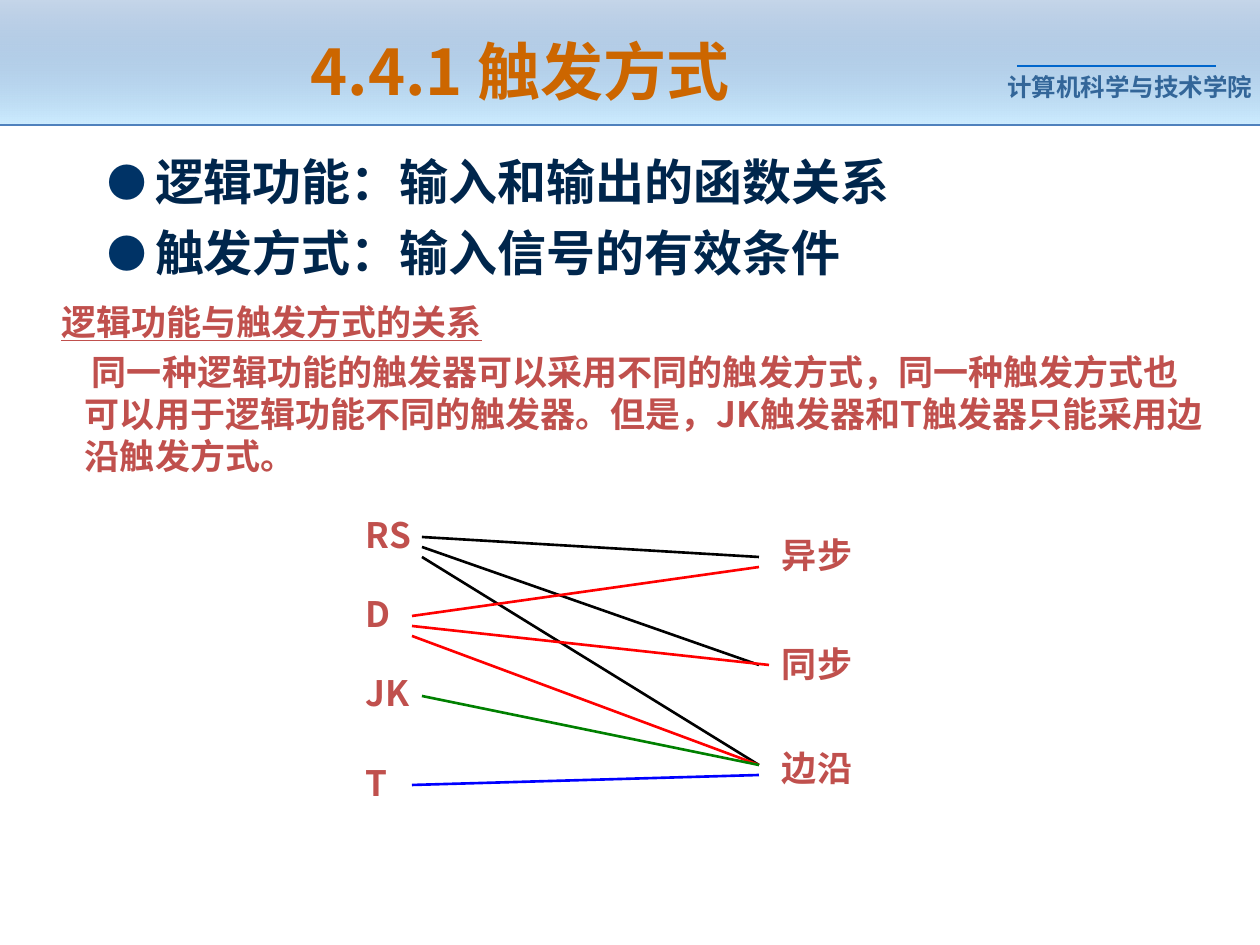
from pptx import Presentation
from pptx.dml.color import RGBColor
from pptx.enum.shapes import MSO_CONNECTOR, MSO_SHAPE
from pptx.enum.text import MSO_ANCHOR, PP_ALIGN
from pptx.oxml.ns import qn
from pptx.util import Pt
from lxml.etree import SubElement

PX = 914400 / 126
FONT = "Noto Sans CJK SC"
COLORS = {
    "orange": "CC6600", "navy": "00264C", "bullet": "003366", "school": "336699",
    "brick": "C0504D", "band": "4F81BD", "sky": "CCECFF", "rule": "0066CC",
    "black": "000000", "red": "FF0000", "green": "008000", "blue": "0000FF",
}


def add_text(left, top, width, height, lines, size, color, font=FONT, inset=13, **paragraph_format):
    box = slide.shapes.add_textbox(*[round(n * PX) for n in (left, top, width, height)])
    frame = box.text_frame
    frame_format = {"word_wrap": True, "margin_left": round(inset * PX), "margin_right": round(inset * PX)}
    for name, value in frame_format.items():
        setattr(frame, name, value)
    for index, line in enumerate(lines):
        para = frame.paragraphs[0] if index == 0 else frame.add_paragraph()
        for name, value in paragraph_format.items():
            if name != "space_before" or index:
                setattr(para, name, value)
        span = para.add_run()
        span.text = line
        for name, value in {"size": Pt(size), "bold": True, "name": font}.items():
            setattr(span.font, name, value)
        span.font.color.rgb = RGBColor.from_string(COLORS[color])
        SubElement(span.font._element, qn("a:ea"), typeface=FONT)
    return frame


def add_line(start_x, start_y, end_x, end_y, color, width=1.5):
    points = [round(n * PX) for n in (start_x, start_y, end_x, end_y)]
    line = slide.shapes.add_connector(MSO_CONNECTOR.STRAIGHT, *points)
    line.line.color.rgb = RGBColor.from_string(COLORS[color])
    line.line.width = Pt(width)
    SubElement(line._element.spPr, qn("a:effectLst"))


deck = Presentation()
deck.slide_width = round(1260 * PX)
deck.slide_height = round(945 * PX)
slide = deck.slides.add_slide(deck.slide_layouts[6])

band = slide.shapes.add_shape(MSO_SHAPE.RECTANGLE, 0, 0, deck.slide_width, round(125 * PX))
band.shadow.inherit = False
band.line.fill.background()
band.fill.gradient()
band.fill.gradient_angle = 270
for stop, position, color in zip(band.fill.gradient_stops, (0, 1), ("band", "sky")):
    stop.position = position
    stop.color.rgb = RGBColor.from_string(COLORS[color])
first_color = next(band._element.spPr.iter(qn("a:srgbClr")))
SubElement(first_color, qn("a:alpha"), val="32000")

add_text(1007, 66, 248, 43, ["计算机科学与技术学院"], 14, "school", "Arial", 0)
add_line(1017, 66, 1216, 66, "rule", 0.75)
add_line(0, 125, 1260, 125, "band")

title = add_text(64, 26, 912, 88, ["4.4.1 触发方式"], 36, "orange", alignment=PP_ALIGN.CENTER)
title.vertical_anchor = MSO_ANCHOR.MIDDLE

definitions = ["逻辑功能：输入和输出的函数关系", "触发方式：输入信号的有效条件"]
body = add_text(94, 145, 1092, 208, definitions, 28, "navy", space_before=Pt(7))
for para in body.paragraphs:
    properties = para._p.get_or_add_pPr()
    properties.set("marL", str(round(48 * PX)))
    properties.set("indent", str(round(-48 * PX)))
    bullet_color = SubElement(properties, qn("a:buClr"))
    SubElement(bullet_color, qn("a:srgbClr"), val=COLORS["bullet"])
    SubElement(properties, qn("a:buSzPct"), val="80000")
    SubElement(properties, qn("a:buFont"), typeface=FONT)
    SubElement(properties, qn("a:buChar"), char="●")

relation = add_text(25, 294, 1191, 190, [
    "逻辑功能与触发方式的关系",
    "同一种逻辑功能的触发器可以采用不同的触发方式，同一种触发方式也可以用于逻辑功能不同的触发器。"
    "但是，JK触发器和T触发器只能采用边沿触发方式。",
], 20, "brick", space_before=Pt(5))
relation.paragraphs[0].runs[0].font.underline = True
for para, margin, indent in zip(relation.paragraphs, (23, 47), (0, 7)):
    properties = para._p.get_or_add_pPr()
    properties.set("marL", str(round(margin * PX)))
    properties.set("indent", str(round(indent * PX)))

labels = [
    (353, 507, "RS"), (353, 586, "D"), (353, 665, "JK"), (353, 755, "T"),
    (769, 527, "异步"), (769, 636, "同步"), (769, 740, "边沿"),
]
for left, top, label in labels:
    add_text(left, top, 120, 55, [label], 20, "brick")

links = [
    (422, 537, 759, 557, "black"), (422, 547, 759, 665, "black"), (422, 557, 759, 765, "black"),
    (412, 616, 759, 567, "red"), (412, 626, 769, 665, "red"), (412, 636, 759, 765, "red"),
    (422, 696, 759, 765, "green"), (412, 785, 759, 775, "blue"),
]
for link in links:
    add_line(*link)

deck.save("out.pptx")
